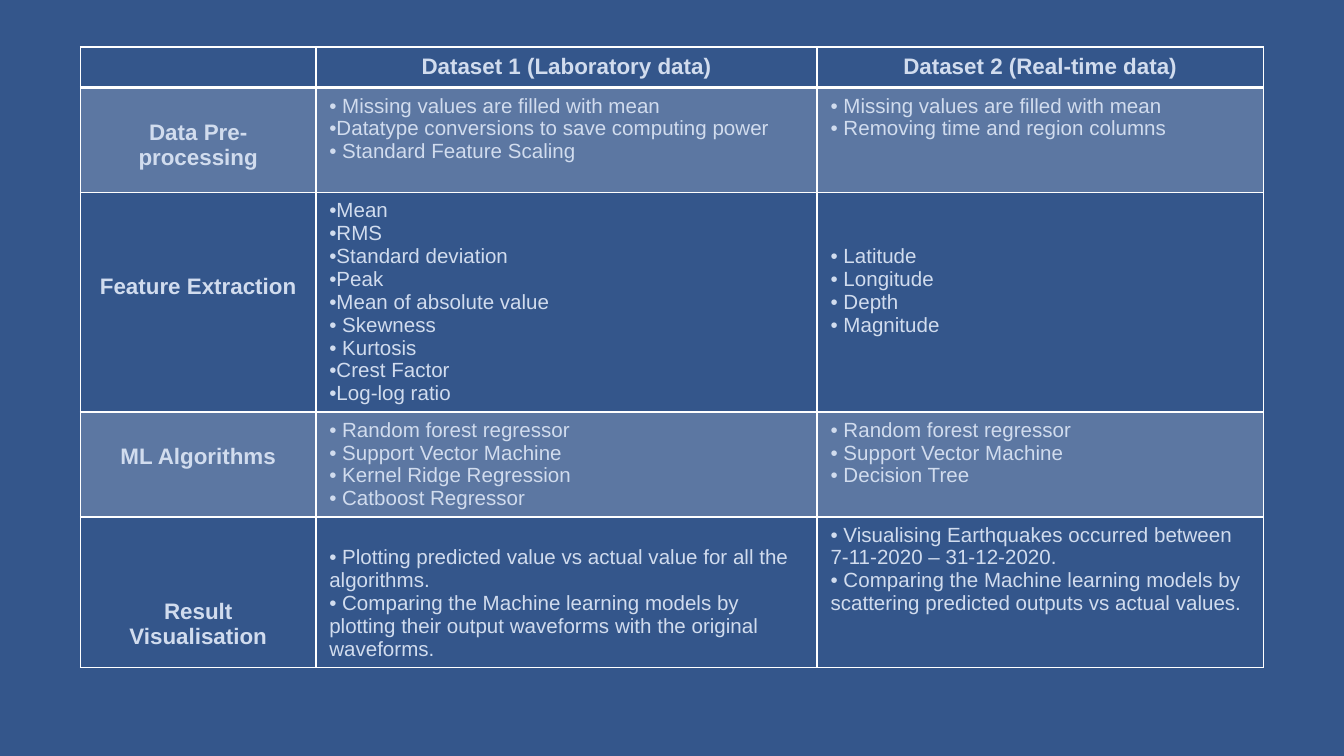
from dataclasses import dataclass

from lxml.etree import SubElement
from pptx import Presentation
from pptx.dml.color import RGBColor
from pptx.enum.text import PP_ALIGN as Align
from pptx.oxml import parse_xml
from pptx.oxml.ns import nsdecls, qn
from pptx.util import Inches, Pt


@dataclass(frozen=True)
class Theme:
    font: str = "Arial"
    background: str = "34568B"
    text: str = "D1DCEE"
    line: str = "FFFFFF"
    band: str = "FFFFFF"
    band_opacity: int = 20
    heading_size: int = 12
    item_size: int = 11


THEME = Theme()
COLUMN_WIDTHS = [1.75, 3.73, 3.32]
ROW_HEIGHTS = [0.28, 0.78, 1.63, 0.78, 1.12]
PADDING = 0.05
LINE_PITCH = 1.12 / 72

HEADERS = ["", "Dataset 1 (Laboratory data)", "Dataset 2 (Real-time data)"]
STAGES = [
    ("Data Pre-processing", [
        "• Missing values are filled with mean",
        "•Datatype conversions to save computing power",
        "• Standard Feature Scaling",
    ], [
        "• Missing values are filled with mean",
        "• Removing time and region columns",
    ]),
    ("Feature Extraction", [
        "•Mean", "•RMS", "•Standard deviation", "•Peak",
        "•Mean of absolute value", "• Skewness", "• Kurtosis",
        "•Crest Factor", "•Log-log ratio",
    ], ["• Latitude", "• Longitude", "• Depth", "• Magnitude"]),
    ("ML Algorithms", [
        "• Random forest regressor", "• Support Vector Machine",
        "• Kernel Ridge Regression", "• Catboost Regressor",
    ], [
        "• Random forest regressor", "• Support Vector Machine",
        "• Decision Tree",
    ]),
    ("Result Visualisation", [
        "• Plotting predicted value vs actual value for all the algorithms.",
        "• Comparing the Machine learning models by plotting their output "
        "waveforms with the original waveforms.",
    ], [
        "• Visualising Earthquakes occurred between 7-11-2020 – 31-12-2020.",
        "• Comparing the Machine learning models by scattering predicted "
        "outputs vs actual values.",
    ]),
]
LINES_ABOVE = [(1, 0, 0), (3, 0, 2), (1, 0, 0), (3, 1, 0)]


def add_text(paragraph, text, size, bold):
    run = paragraph.add_run()
    run.text = text
    run.font.name = THEME.font
    run.font.size = Pt(size)
    run.font.bold = bold
    run.font.color.rgb = RGBColor.from_string(THEME.text)


def lower_text(cell, lines, size):
    cell.margin_top = Inches(round(PADDING + lines * size * LINE_PITCH, 2))


def write_heading(cell, text, lines_above=0):
    lower_text(cell, lines_above, THEME.heading_size)
    paragraph = cell.text_frame.paragraphs[0]
    paragraph.alignment = Align.CENTER
    if text:
        add_text(paragraph, text, THEME.heading_size, True)
    else:
        SubElement(paragraph._p, qn("a:endParaRPr"), sz=str(THEME.heading_size * 100))


def write_list(cell, items, lines_above):
    lower_text(cell, lines_above, THEME.item_size)
    frame = cell.text_frame
    for index, item in enumerate(items):
        paragraph = frame.add_paragraph() if index else frame.paragraphs[0]
        add_text(paragraph, item, THEME.item_size, False)


def fill_cell(cell, banded):
    if not banded:
        cell.fill.background()
        return
    cell.fill.solid()
    cell.fill.fore_color.rgb = RGBColor.from_string(THEME.band)
    color = cell._tc.tcPr.find(f".//{qn('a:srgbClr')}")
    SubElement(color, qn("a:alpha"), val=str(THEME.band_opacity * 1000))


def draw_borders(cell, top, bottom):
    widths = {"lnL": 1, "lnR": 1, "lnT": top, "lnB": bottom}
    for index, (side, width) in enumerate(widths.items()):
        cell._tc.tcPr.insert(index, parse_xml(
            f'<a:{side} {nsdecls("a")} w="{Pt(width)}"><a:solidFill>'
            f'<a:srgbClr val="{THEME.line}"/></a:solidFill></a:{side}>'))


def add_comparison(slide):
    frame = slide.shapes.add_table(
        len(ROW_HEIGHTS), len(COLUMN_WIDTHS), Inches(0.6), Inches(0.35),
        Inches(sum(COLUMN_WIDTHS)), Inches(sum(ROW_HEIGHTS)))
    table = frame.table
    table.horz_banding = False
    for column, width in zip(table.columns, COLUMN_WIDTHS):
        column.width = Inches(width)
    for row, height in zip(table.rows, ROW_HEIGHTS):
        row.height = Inches(height)

    for column, header in enumerate(HEADERS):
        write_heading(table.cell(0, column), header)
    for row, (stage, above) in enumerate(zip(STAGES, LINES_ABOVE), start=1):
        name, *lists = stage
        write_heading(table.cell(row, 0), name, above[0])
        for column, items in enumerate(lists, start=1):
            write_list(table.cell(row, column), items, above[column])

    for row in range(len(ROW_HEIGHTS)):
        for column in range(len(COLUMN_WIDTHS)):
            cell = table.cell(row, column)
            fill_cell(cell, row % 2 == 1)
            draw_borders(cell, 2 if row == 1 else 1, 2 if row == 0 else 1)


def main():
    deck = Presentation()
    deck.slide_width = Inches(10)
    deck.slide_height = deck.slide_width * 9 // 16
    slide = deck.slides.add_slide(deck.slide_layouts[6])
    backdrop = slide.background.fill
    backdrop.solid()
    backdrop.fore_color.rgb = RGBColor.from_string(THEME.background)
    add_comparison(slide)
    deck.save("out.pptx")


if __name__ == "__main__":
    main()
